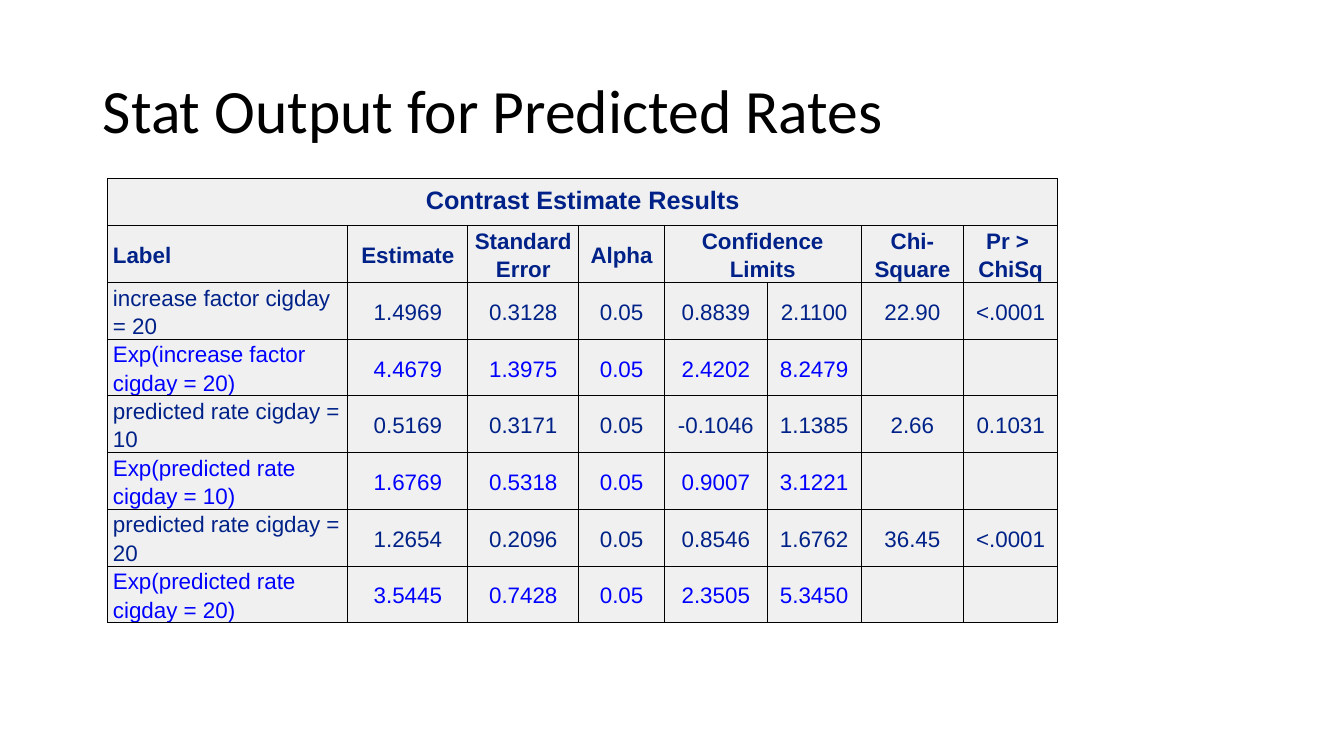
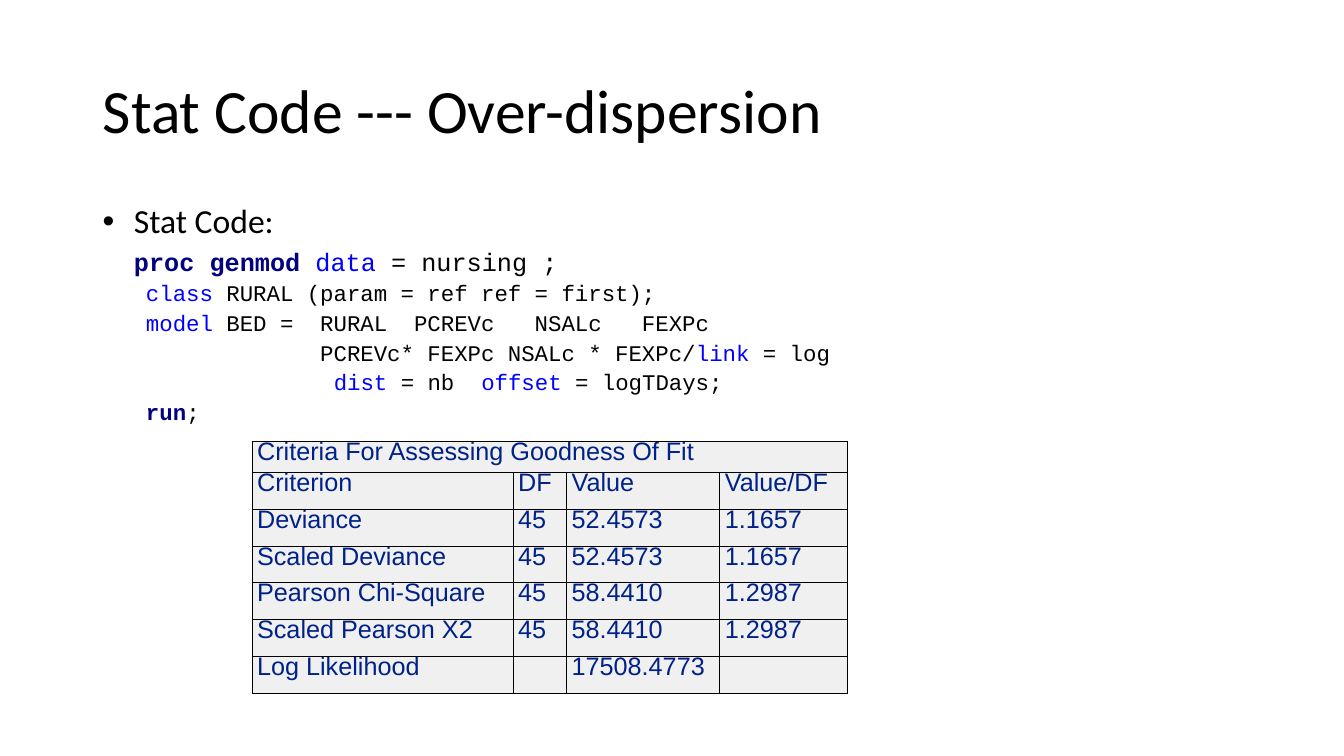
from typing import NamedTuple

from lxml.etree import SubElement
from pptx import Presentation
from pptx.dml.color import RGBColor
from pptx.enum.text import MSO_ANCHOR, PP_ALIGN
from pptx.oxml.ns import qn
from pptx.util import Pt

EMU_PER_PX = 9144
BLACK = RGBColor(0x00, 0x00, 0x00)
NAVY = RGBColor(0x00, 0x22, 0x88)
KEYWORD_NAVY = RGBColor(0x00, 0x00, 0x80)
BLUE = RGBColor(0x00, 0x00, 0xFF)
CELL_GREY = RGBColor(0xF0, 0xF0, 0xF0)
TITLE_FONT = "Calibri"
TABLE_FONT = "Arial"
CODE_FONT = "Courier New"
TITLE_ONLY = 5

ESTIMATES = [
    ["Contrast Estimate Results"],
    ["Label", "Estimate", "Standard Error", "Alpha", "Confidence Limits", "",
     "Chi-Square", "Pr > \nChiSq"],
    ["increase factor cigday = 20", "1.4969", "0.3128", "0.05", "0.8839", "2.1100",
     "22.90", "<.0001"],
    ["Exp(increase factor cigday = 20)", "4.4679", "1.3975", "0.05", "2.4202", "8.2479"],
    ["predicted rate cigday = 10", "0.5169", "0.3171", "0.05", "-0.1046", "1.1385",
     "2.66", "0.1031"],
    ["Exp(predicted rate cigday = 10)", "1.6769", "0.5318", "0.05", "0.9007", "3.1221"],
    ["predicted rate cigday = 20", "1.2654", "0.2096", "0.05", "0.8546", "1.6762",
     "36.45", "<.0001"],
    ["Exp(predicted rate cigday = 20)", "3.5445", "0.7428", "0.05", "2.3505", "5.3450"],
]

FIT_CRITERIA = [
    ["Criteria For Assessing Goodness Of Fit"],
    ["Criterion", "DF", "Value", "Value/DF"],
    ["Deviance", "45", "52.4573", "1.1657"],
    ["Scaled Deviance", "45", "52.4573", "1.1657"],
    ["Pearson Chi-Square", "45", "58.4410", "1.2987"],
    ["Scaled Pearson X2", "45", "58.4410", "1.2987"],
    ["Log Likelihood", "", "17508.4773", ""],
]

PROC_LINE = [("proc genmod ", KEYWORD_NAVY), ("data", BLUE), (" = nursing ;", BLACK)]
CODE_LINES = [
    [("class", BLUE), (" RURAL (param = ref ref = first);", BLACK)],
    [("model", BLUE), (" BED =  RURAL  PCREVc   NSALc   FEXPc", BLACK)],
    [("             PCREVc* FEXPc NSALc * FEXPc/", BLACK), ("link", BLUE), (" = log", BLACK)],
    [("              ", BLACK), ("dist", BLUE), (" = nb  ", BLACK), ("offset", BLUE),
     (" = logTDays;", BLACK)],
    [("run", KEYWORD_NAVY), (";", BLACK)],
]


class CellStyle(NamedTuple):
    size: int = 18
    colour: RGBColor = NAVY
    bold: bool = False
    spacing: float = 0.85
    alignment: PP_ALIGN = PP_ALIGN.LEFT


def px(length):
    return length * EMU_PER_PX


def set_font(font, name, size, colour, bold=False):
    font.name = name
    font.size = Pt(size)
    font.color.rgb = colour
    font.bold = bold


def add_titled_slide(presentation, text):
    slide = presentation.slides.add_slide(presentation.slide_layouts[TITLE_ONLY])
    title = slide.shapes.title
    title.left, title.top, title.width, title.height = px(92), px(40), px(1150), px(145)
    frame = title.text_frame
    frame.text = text
    frame.vertical_anchor = MSO_ANCHOR.MIDDLE
    paragraph = frame.paragraphs[0]
    paragraph.alignment = PP_ALIGN.LEFT
    paragraph.line_spacing = 0.9
    set_font(paragraph.font, TITLE_FONT, 44, BLACK)
    return slide


def add_cell_borders(cell):
    properties = cell._tc.get_or_add_tcPr()
    for side in ("a:lnL", "a:lnR", "a:lnT", "a:lnB"):
        line = SubElement(properties, qn(side), w=str(Pt(0.75)))
        fill = SubElement(line, qn("a:solidFill"))
        SubElement(fill, qn("a:srgbClr"), val=str(BLACK))


def format_cell(cell, text, style, anchor):
    cell.text = text
    add_cell_borders(cell)
    cell.fill.solid()
    cell.fill.fore_color.rgb = CELL_GREY
    cell.margin_left = cell.margin_right = px(5)
    cell.margin_top = cell.margin_bottom = 0
    cell.vertical_anchor = anchor
    for paragraph in cell.text_frame.paragraphs:
        paragraph.alignment = style.alignment
        paragraph.line_spacing = style.spacing
        set_font(paragraph.font, TABLE_FONT, style.size, style.colour, style.bold)


def add_results_table(slide, left, top, widths, heights, rows, style_for, anchor):
    table = slide.shapes.add_table(len(heights), len(widths), px(left), px(top),
                                   px(sum(widths)), px(sum(heights))).table
    table.first_row = table.horz_banding = False
    for column, width in zip(table.columns, widths):
        column.width = px(width)
    for row, height in zip(table.rows, heights):
        row.height = px(height)
    for row_index, texts in enumerate(rows):
        for column_index in range(len(widths)):
            text = texts[column_index] if column_index < len(texts) else ""
            format_cell(table.cell(row_index, column_index), text,
                        style_for(row_index, column_index), anchor)
    table.cell(0, 0).merge(table.cell(0, len(widths) - 1))
    return table


def estimate_style(row, column):
    if row == 0:
        return CellStyle(bold=True, alignment=PP_ALIGN.CENTER)
    return CellStyle(
        size=16,
        colour=BLUE if ESTIMATES[row][0].startswith("Exp") else NAVY,
        bold=row == 1,
        spacing=1.14,
        alignment=PP_ALIGN.CENTER if column else PP_ALIGN.LEFT,
    )


def fit_style(row, column):
    return CellStyle()


def format_line(paragraph, margin, space_before=0, bullet=None):
    properties = paragraph._p.get_or_add_pPr()
    properties.set("marL", str(px(margin)))
    properties.set("indent", str(px(-margin) if bullet else 0))
    if bullet:
        SubElement(properties, qn("a:buFont"), typeface="Arial")
        SubElement(properties, qn("a:buChar"), char=bullet)
    paragraph.line_spacing = 0.85
    paragraph.space_before = Pt(space_before)


def add_code_line(frame, pieces, size, margin, space_before):
    paragraph = frame.add_paragraph()
    format_line(paragraph, margin, space_before)
    for text, colour in pieces:
        run = paragraph.add_run()
        run.text = text
        set_font(run.font, CODE_FONT, size, colour, colour == KEYWORD_NAVY)


def add_code_listing(slide):
    frame = slide.shapes.add_textbox(px(92), px(200), px(1150), px(476)).text_frame
    frame.word_wrap = True
    heading = frame.paragraphs[0]
    heading.text = "Stat Code:"
    format_line(heading, 31, bullet="•")
    set_font(heading.font, TITLE_FONT, 24, BLACK)
    add_code_line(frame, PROC_LINE, 18, 31, 7)
    for pieces in CODE_LINES:
        add_code_line(frame, pieces, 16, 43, 5)


def add_predicted_rates(presentation):
    slide = add_titled_slide(presentation, "Stat Output for Predicted Rates")
    table = add_results_table(slide, 107, 177, [238, 119, 110, 85, 102, 93, 102, 93],
                              [47] + [55] * 7, ESTIMATES, estimate_style, MSO_ANCHOR.MIDDLE)
    table.cell(1, 4).merge(table.cell(1, 5))


def add_over_dispersion(presentation):
    slide = add_titled_slide(presentation, "Stat Code --- Over-dispersion")
    add_code_listing(slide)
    add_results_table(slide, 250, 438, [259, 53, 152, 127], [31, 36, 37, 36, 37, 36, 37],
                      FIT_CRITERIA, fit_style, MSO_ANCHOR.TOP)


def main():
    presentation = Presentation()
    presentation.slide_width, presentation.slide_height = px(1333), px(750)
    add_predicted_rates(presentation)
    add_over_dispersion(presentation)
    presentation.save("out.pptx")


if __name__ == "__main__":
    main()
